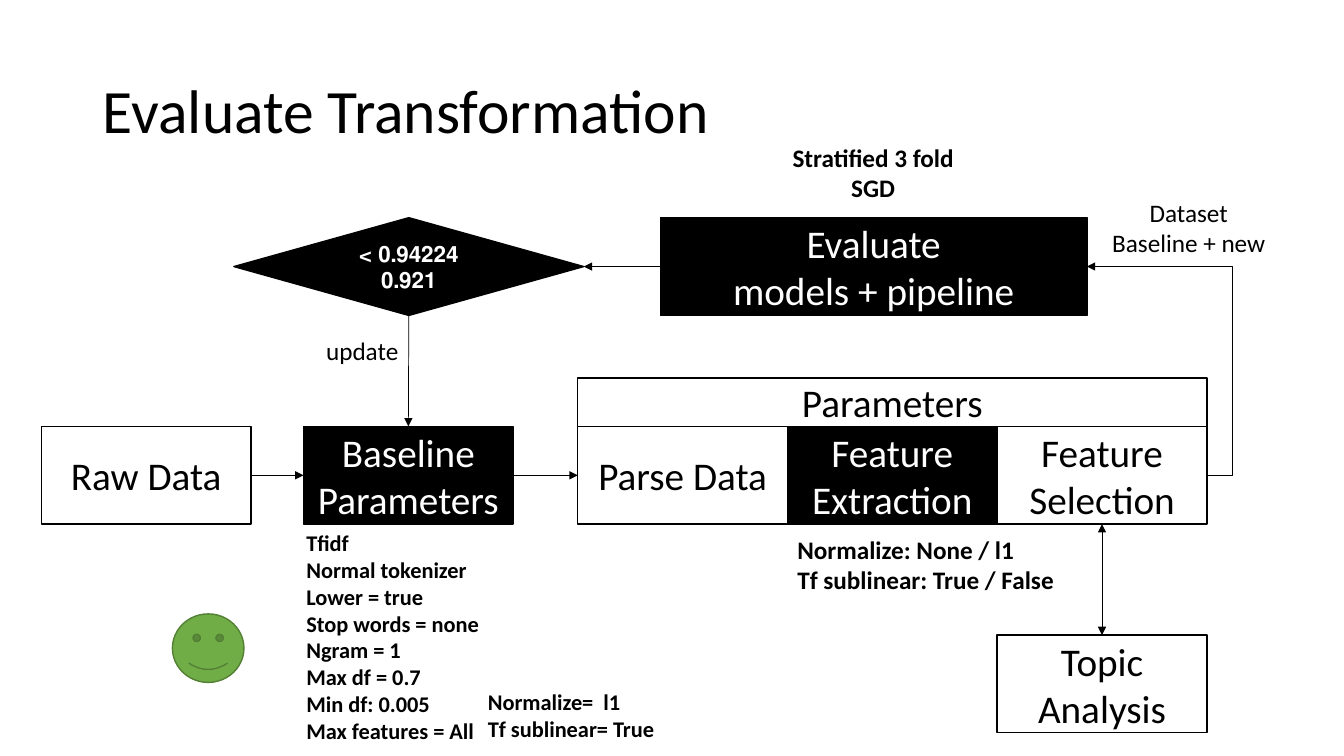
from lxml import etree
from pptx import Presentation
from pptx.dml.color import RGBColor
from pptx.enum.shapes import MSO_CONNECTOR, MSO_SHAPE
from pptx.enum.text import MSO_ANCHOR, MSO_AUTO_SIZE, PP_ALIGN
from pptx.oxml.ns import qn
from pptx.util import Inches, Pt

RECT, DIAMOND, SMILEY = MSO_SHAPE.RECTANGLE, MSO_SHAPE.DIAMOND, MSO_SHAPE.SMILEY_FACE
STRAIGHT, ELBOW = MSO_CONNECTOR.STRAIGHT, MSO_CONNECTOR.ELBOW
LEFT, CENTER, RIGHT = PP_ALIGN.LEFT, PP_ALIGN.CENTER, PP_ALIGN.RIGHT
MIDDLE, GROW = MSO_ANCHOR.MIDDLE, MSO_AUTO_SIZE.SHAPE_TO_FIT_TEXT
TOP_SIDE, LEFT_SIDE, BOTTOM_SIDE, RIGHT_SIDE = range(4)

FONT = "Calibri"
COLORS = {"black": "000000", "white": "FFFFFF", "green": "70AD47", "dark_green": "538035"}

TITLE = "Evaluate Transformation"
BOX_W, BOX_H = 2.08, 0.97
CHAIN_X, CHAIN_Y, TOP_Y = 5.73, 4.23, 2.16
PARAMS_H = 0.48
chain_x = [CHAIN_X + i * BOX_W for i in range(3)]

BOXES = {
    "raw": ("Raw Data", 0.41, CHAIN_Y, BOX_W, BOX_H, "white"),
    "baseline": ("Baseline Parameters", 3.01, CHAIN_Y, BOX_W, BOX_H, "black"),
    "parse": ("Parse Data", chain_x[0], CHAIN_Y, BOX_W, BOX_H, "white"),
    "extraction": ("Feature Extraction", chain_x[1], CHAIN_Y, BOX_W, BOX_H, "black"),
    "selection": ("Feature Selection", chain_x[2], CHAIN_Y, BOX_W, BOX_H, "white"),
    "parameters": ("Parameters", CHAIN_X, CHAIN_Y - PARAMS_H, 3 * BOX_W, PARAMS_H, "white"),
    "evaluate": ("Evaluate\nmodels + pipeline", 6.55, TOP_Y, 4.23, BOX_H, "black"),
    "topic": ("Topic Analysis", chain_x[2], 6.3, BOX_W, BOX_H, "white"),
}
DECISION = ("0.94224 > 0.921", 2.32, TOP_Y, 3.47, BOX_H, "black")

ARROWS = [
    ("raw", RIGHT_SIDE, "baseline", LEFT_SIDE, 1, False),
    ("baseline", RIGHT_SIDE, "parse", LEFT_SIDE, 0.5, False),
    ("selection", BOTTOM_SIDE, "topic", TOP_SIDE, 0.5, True),
    ("evaluate", LEFT_SIDE, "decision", RIGHT_SIDE, 0.5, False),
    ("decision", BOTTOM_SIDE, "baseline", TOP_SIDE, 0.5, False),
    ("selection", RIGHT_SIDE, "evaluate", RIGHT_SIDE, 0.5, False),
]
ELBOW_BEND = -21100

NOTES = [
    ("Dataset\nBaseline + new", 10.92, 1.91, 1.74, 0.71, 18, False, CENTER, False),
    ("update", 3.12, 3.28, 0.93, 0.4, 18, False, RIGHT, False),
    ("Stratified 3 fold\nSGD", 7.72, 1.36, 1.88, 0.71, 18, True, CENTER, False),
    ("Normalize: None / l1\nTf sublinear: True / False",
     7.81, 5.25, 2.97, 0.71, 18, True, LEFT, True),
    ("Tfidf\nNormal tokenizer\nLower = true\nStop words = none\nNgram = 1\n"
     "Max df = 0.7\nMin df: 0.005\nMax features = All",
     2.94, 5.2, 2, 2.49, 16, True, LEFT, False),
    ("Normalize=  l1\nTf sublinear= True", 4.74, 6.78, 2.97, 0.64, 16, True, LEFT, True),
]


def rgb(name):
    return RGBColor.from_string(COLORS[name])


def write(tf, text, size, color, align, bold=False):
    tf.text = text
    for p in tf.paragraphs:
        p.alignment = align
        for r in p.runs:
            r.font.name, r.font.size, r.font.bold = FONT, Pt(size), bold
            r.font.color.rgb = rgb(color)


def add_shape(kind, x, y, w, h, fill, line):
    sp = s.shapes.add_shape(kind, *map(Inches, (x, y, w, h)))
    sp.shadow.inherit = False
    sp.fill.solid()
    sp.fill.fore_color.rgb = rgb(fill)
    sp.line.color.rgb = rgb(line)
    sp.line.width = Pt(1)
    return sp


def add_box(kind, text, x, y, w, h, fill, size, bold=False):
    sp = add_shape(kind, x, y, w, h, fill, "black")
    tf = sp.text_frame
    tf.word_wrap, tf.vertical_anchor = True, MIDDLE
    write(tf, text, size, "white" if fill == "black" else "black", CENTER, bold)
    return sp


def add_arrow(start, start_side, end, end_side, width, both):
    kind = ELBOW if start_side == end_side else STRAIGHT
    c = s.shapes.add_connector(kind, 0, 0, 0, 0)
    c.begin_connect(nodes[start], start_side)
    c.end_connect(nodes[end], end_side)
    c.line.color.rgb = rgb("black")
    c.line.width = Pt(width)
    ln = c.line._get_or_add_ln()
    for tag in ("a:headEnd", "a:tailEnd") if both else ("a:tailEnd",):
        etree.SubElement(ln, qn(tag), type="triangle")
    sp_pr = c._element.spPr
    etree.SubElement(sp_pr, qn("a:effectLst"))
    if kind == ELBOW:
        guides = sp_pr.find(qn("a:prstGeom")).find(qn("a:avLst"))
        etree.SubElement(guides, qn("a:gd"), name="adj1", fmla=f"val {ELBOW_BEND}")


prs = Presentation()
prs.slide_width, prs.slide_height = Inches(13.33), Inches(7.5)
s = prs.slides.add_slide(prs.slide_layouts[5])

title = s.shapes.title
title.left, title.top, title.width, title.height = map(Inches, (0.92, 0.4, 11.5, 1.45))
title.text_frame.vertical_anchor = MIDDLE
write(title.text_frame, TITLE, 44, "black", LEFT)
title.text_frame.paragraphs[0].line_spacing = 0.9

nodes = {name: add_box(RECT, *box, 28) for name, box in BOXES.items()}
decision = nodes["decision"] = add_box(DIAMOND, *DECISION, 16, True)
decision.text_frame.paragraphs[0]._p.get_or_add_pPr().set("rtl", "1")

for arrow in ARROWS:
    add_arrow(*arrow)

for text, x, y, w, h, size, bold, align, wrap in NOTES:
    tf = s.shapes.add_textbox(*map(Inches, (x, y, w, h))).text_frame
    tf.word_wrap, tf.auto_size = wrap, GROW
    write(tf, text, size, "black", align, bold)

add_shape(SMILEY, 1.71, 6.09, 0.71, 0.68, "green", "dark_green")

prs.save("out.pptx")
